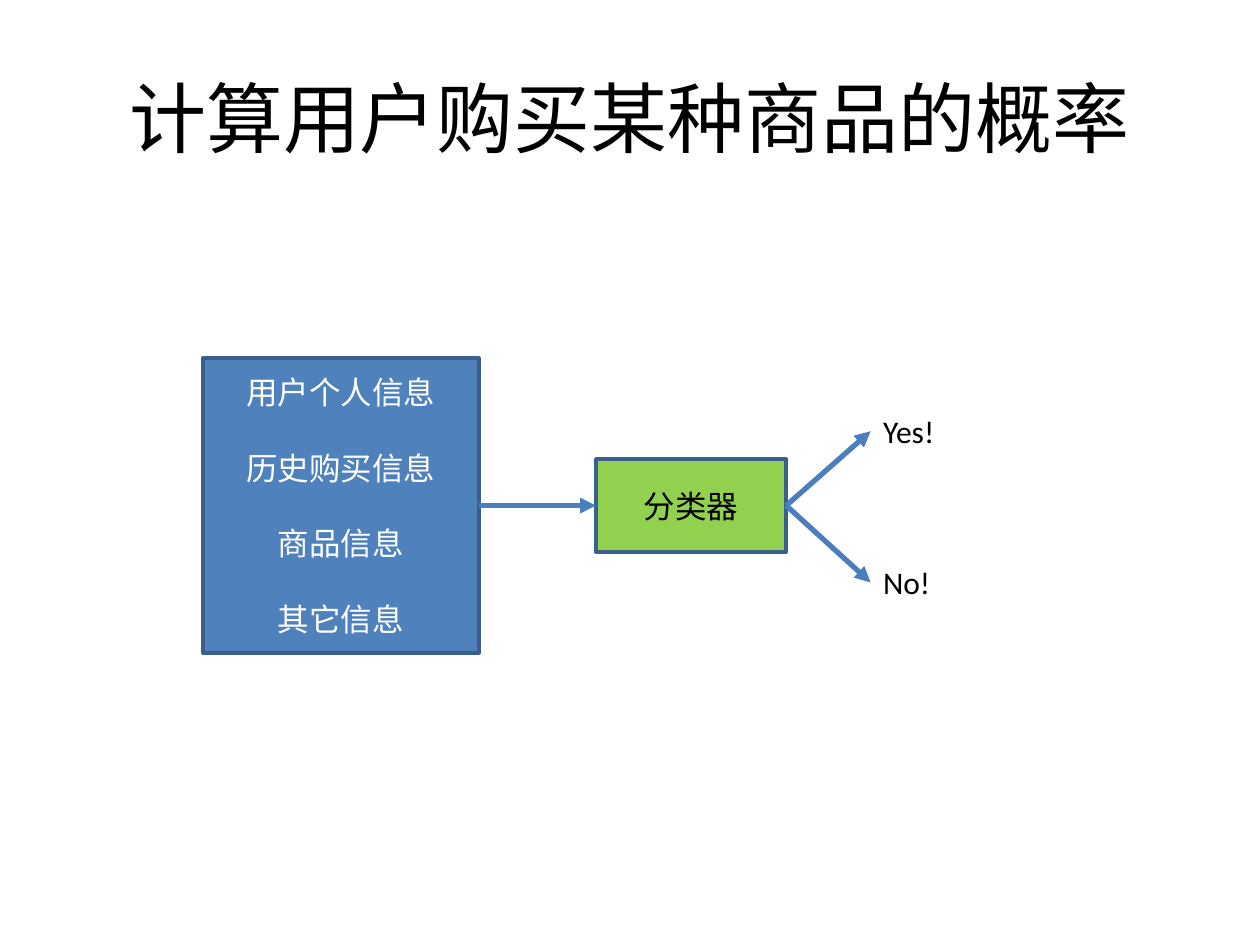
from pptx import Presentation
from pptx.dml.color import RGBColor
from pptx.enum.shapes import MSO_CONNECTOR, MSO_SHAPE
from pptx.enum.text import MSO_ANCHOR, MSO_AUTO_SIZE, PP_ALIGN
from pptx.oxml.ns import qn
from pptx.util import Inches, Pt
from lxml.etree import SubElement

COLORS = {
    "text": "000000", "light": "FFFFFF", "inputs": "4F81BD",
    "classifier": "92D050", "outline": "3A5F8C", "arrow": "4B7EBC",
}

deck = Presentation()
deck.slide_width, deck.slide_height = Inches(10), Inches(7.5)
W, H = deck.slide_width, deck.slide_height
slide = deck.slides.add_slide(deck.slide_layouts[5])

# Flow grid: one shared axis, columns as shares of the width
axis = round(H * 0.535)
inputs_left, classifier_left, answers_left = (round(W * x) for x in (0.161, 0.473, 0.691))


def write(frame, lines, color, size=18, align=PP_ALIGN.CENTER, gap=0):
    frame.word_wrap = True
    for i, line in enumerate(lines):
        paragraph = frame.paragraphs[0] if i == 0 else frame.add_paragraph()
        paragraph.alignment = align
        if i:
            paragraph.space_before = Pt(gap)
        run = paragraph.add_run()
        run.text = line
        run.font.name, run.font.size = "Calibri", Pt(size)
        run.font.color.rgb = RGBColor.from_string(COLORS[color])


def add_arrow(source, end_x, end_y, target=None):
    arrow = slide.shapes.add_connector(
        MSO_CONNECTOR.STRAIGHT, source.left + source.width, axis, end_x, end_y)
    arrow.begin_connect(source, 3)
    if target is not None:
        arrow.end_connect(target, 1)
    arrow.line.width = Pt(3)
    arrow.line.color.rgb = RGBColor.from_string(COLORS["arrow"])
    SubElement(arrow.line._get_or_add_ln(), qn("a:tailEnd"), type="triangle")
    SubElement(arrow._element.spPr, qn("a:effectLst"))


# Title
title = slide.shapes.title
title.left, title.top = round(W * 0.05), round(H * 0.04)
title.width, title.height = round(W * 0.9), Inches(1.25)
title.text_frame.vertical_anchor = MSO_ANCHOR.MIDDLE
write(title.text_frame, ["计算用户购买某种商品的概率"], "text", size=44)

# Input and classifier boxes, centred on the axis
boxes = []
for left, width, height, fill, color, lines in (
    (inputs_left, 2.19, 2.34, "inputs", "light",
     ["用户个人信息", "历史购买信息", "商品信息", "其它信息"]),
    (classifier_left, 1.51, 0.74, "classifier", "text", ["分类器"]),
):
    box = slide.shapes.add_shape(
        MSO_SHAPE.RECTANGLE, left, axis - Inches(height / 2), Inches(width), Inches(height))
    box.shadow.inherit = False
    box.fill.solid()
    box.fill.fore_color.rgb = RGBColor.from_string(COLORS[fill])
    box.line.color.rgb = RGBColor.from_string(COLORS["outline"])
    box.line.width = Pt(2)
    box.text_frame.vertical_anchor = MSO_ANCHOR.MIDDLE
    write(box.text_frame, lines, color, gap=21.6)
    boxes.append(box)
inputs, classifier = boxes

add_arrow(inputs, classifier_left, axis, classifier)

# Possible answers, above and below the axis
for answer_text, offset in (("Yes!", -0.59), ("No!", 0.61)):
    middle = axis + Inches(offset)
    answer = slide.shapes.add_textbox(
        answers_left, middle - Inches(0.2), Inches(0.68), Inches(0.4))
    write(answer.text_frame, [answer_text], "text", align=PP_ALIGN.LEFT)
    answer.text_frame.auto_size = MSO_AUTO_SIZE.SHAPE_TO_FIT_TEXT
    add_arrow(classifier, answers_left, middle, answer)

deck.save("out.pptx")
